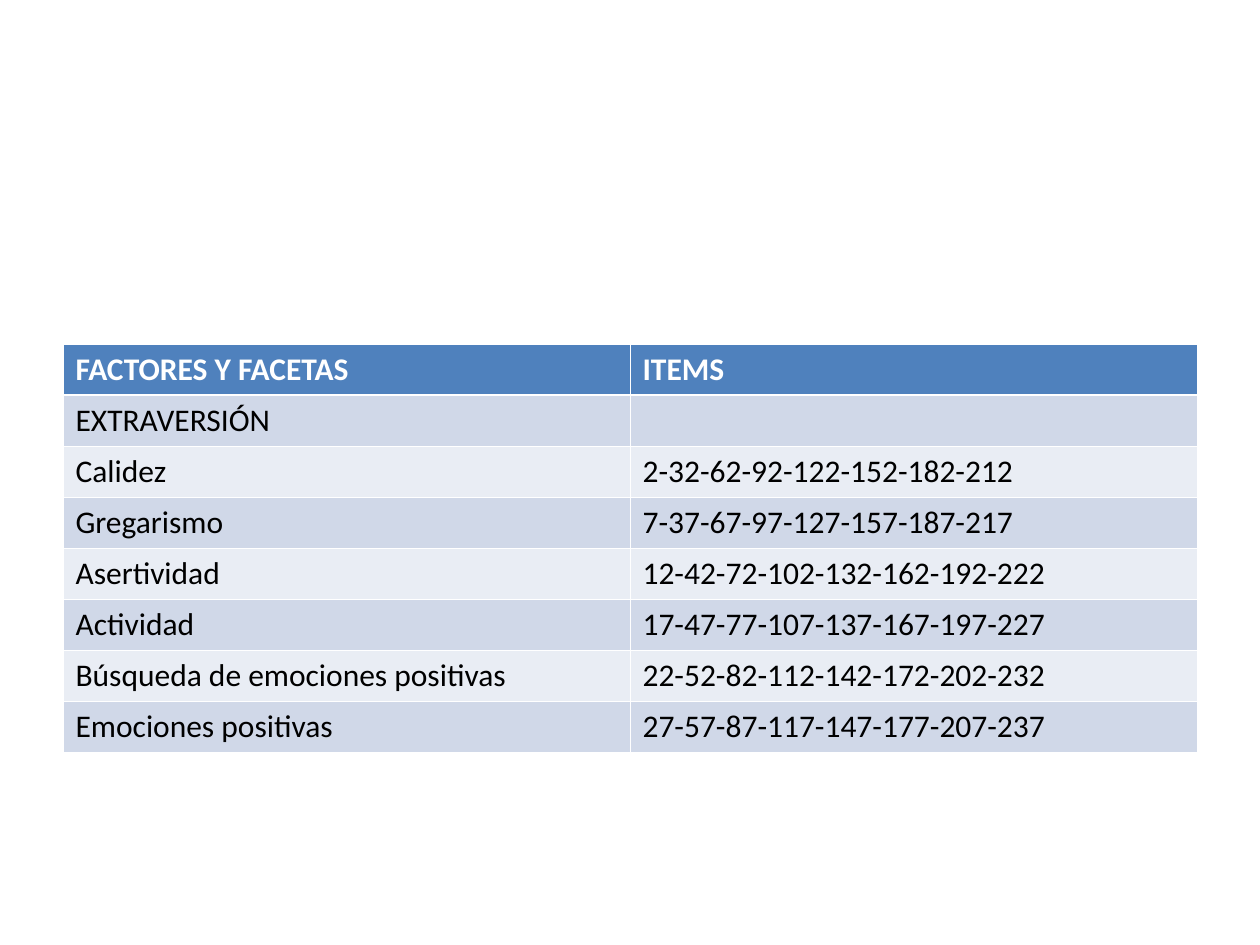
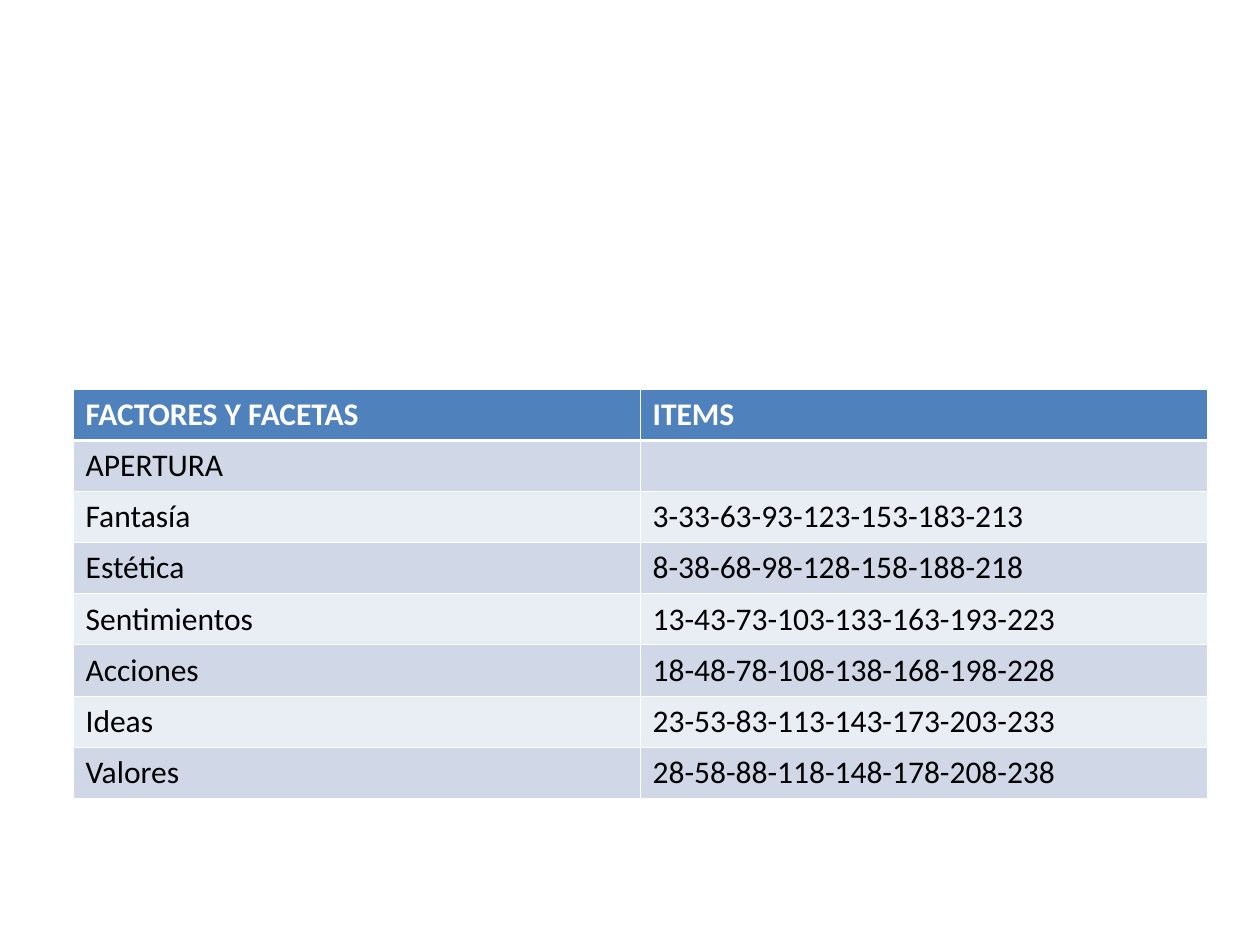
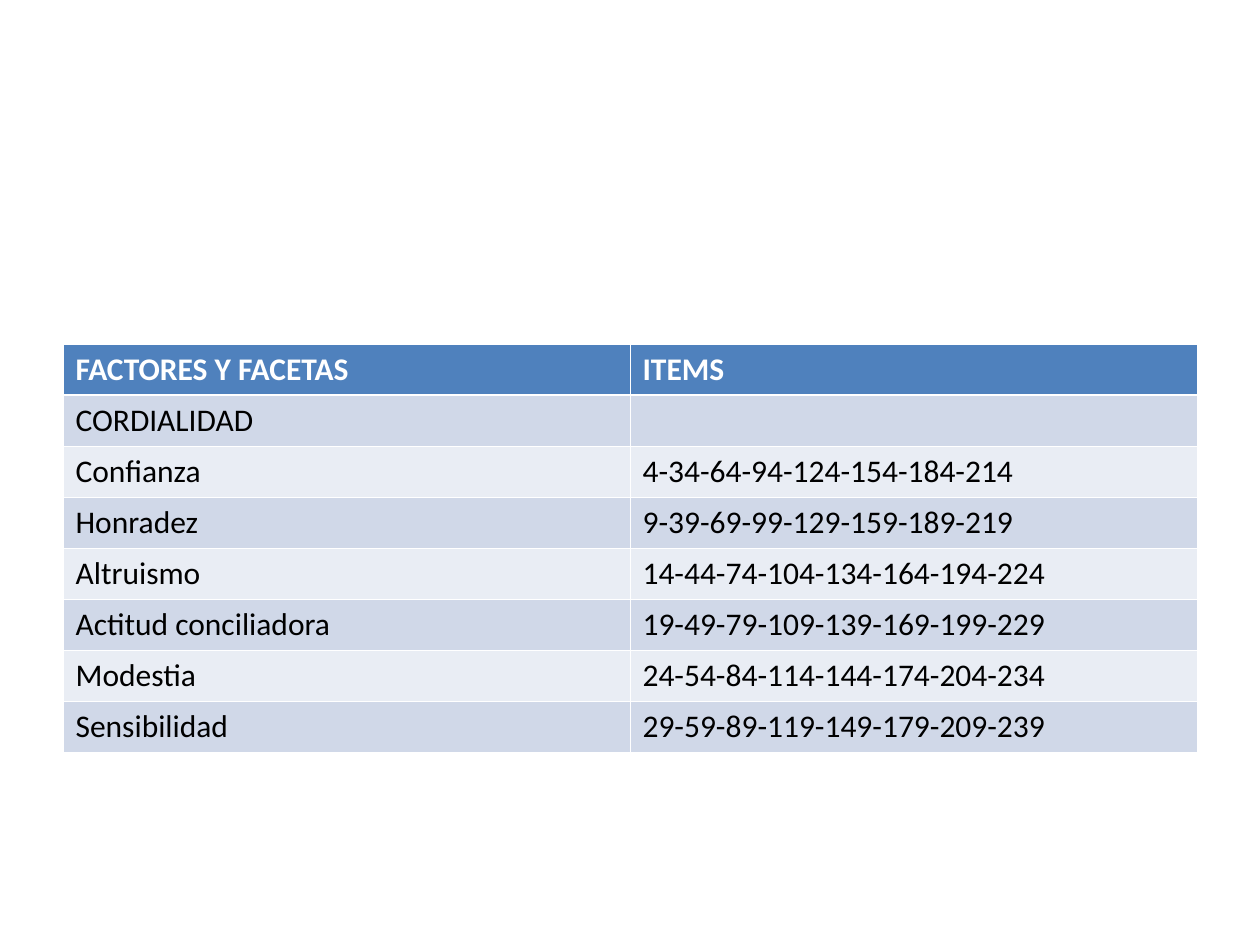
from dataclasses import dataclass

from lxml import etree
from pptx import Presentation
from pptx.dml.color import RGBColor
from pptx.oxml.ns import qn
from pptx.util import Inches, Pt


@dataclass(frozen=True)
class Theme:
    font: str = "Calibri"
    text_size: float = 18
    header_fill: str = "4F81BD"
    header_text: str = "FFFFFF"
    body_text: str = "000000"
    bands: tuple = ("D0D8E8", "E9EDF4")
    rule: str = "FFFFFF"
    thin_rule: float = 0.45
    header_rule: float = 1.47


THEME = Theme()
HEADINGS = ("FACTORES Y FACETAS", "ITEMS")
TABLE_WIDTH, TABLE_HEIGHT = 9, 3.24
FACTOR_COUNT, ITEMS_PER_FACET = 5, 8

# Factor, number of its first item, facets, left and top of its table
FACTORS = [
    ("EXTRAVERSIÓN", 2,
     ("Calidez", "Gregarismo", "Asertividad", "Actividad",
      "Búsqueda de emociones positivas", "Emociones positivas"), 0.5, 2.73),
    ("APERTURA", 3,
     ("Fantasía", "Estética", "Sentimientos", "Acciones", "Ideas", "Valores"),
     0.58, 3.09),
    ("CORDIALIDAD", 4,
     ("Confianza", "Honradez", "Altruismo", "Actitud conciliadora",
      "Modestia", "Sensibilidad"), 0.5, 2.73),
]


def facet_items(first_item, facet_index, facet_count):
    """Items rotate through the factors, then through the facets of each."""
    start = first_item + FACTOR_COUNT * facet_index
    step = FACTOR_COUNT * facet_count
    return "-".join(str(start + step * turn) for turn in range(ITEMS_PER_FACET))


def style_cell(cell, row_index):
    is_header = row_index == 0
    top = THEME.header_rule if row_index == 1 else THEME.thin_rule
    bottom = THEME.header_rule if is_header else THEME.thin_rule
    cell_properties = cell._tc.get_or_add_tcPr()
    for side, width in (("L", THEME.thin_rule), ("R", THEME.thin_rule),
                        ("T", top), ("B", bottom)):
        border = etree.SubElement(cell_properties, qn(f"a:ln{side}"), w=str(Pt(width)))
        border_fill = etree.SubElement(border, qn("a:solidFill"))
        etree.SubElement(border_fill, qn("a:srgbClr"), val=THEME.rule)

    fill_color = THEME.header_fill if is_header else THEME.bands[(row_index - 1) % 2]
    cell.fill.solid()
    cell.fill.fore_color.rgb = RGBColor.from_string(fill_color)

    font = cell.text_frame.paragraphs[0].font
    for run in cell.text_frame.paragraphs[0].runs:
        font = run.font
        font.name = THEME.font
        font.size = Pt(THEME.text_size)
        font.bold = is_header
        font.color.rgb = RGBColor.from_string(
            THEME.header_text if is_header else THEME.body_text)


presentation = Presentation()
presentation.slide_width = Inches(10)
presentation.slide_height = Inches(7.5)
blank_layout = presentation.slide_layouts[6]

for factor, first_item, facets, left, top in FACTORS:
    rows = [HEADINGS, (factor, "")]
    for facet_index, facet in enumerate(facets):
        rows.append((facet, facet_items(first_item, facet_index, len(facets))))

    slide = presentation.slides.add_slide(blank_layout)
    facet_table = slide.shapes.add_table(
        len(rows), len(HEADINGS), Inches(left), Inches(top),
        Inches(TABLE_WIDTH), Inches(TABLE_HEIGHT)).table
    for row_index, row in enumerate(rows):
        for column_index, text in enumerate(row):
            cell = facet_table.cell(row_index, column_index)
            if text:
                cell.text_frame.text = text
            style_cell(cell, row_index)

presentation.save("out.pptx")
